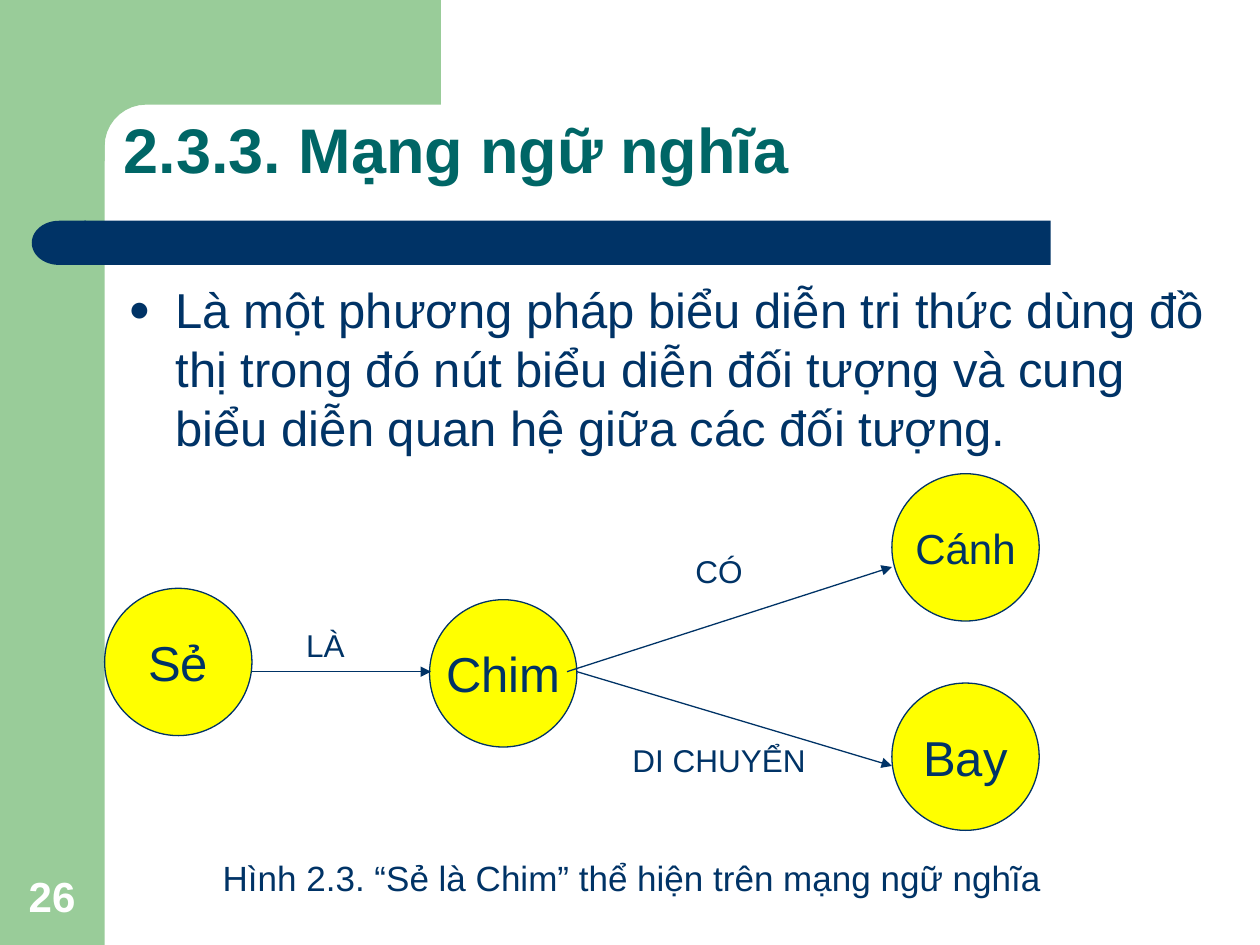
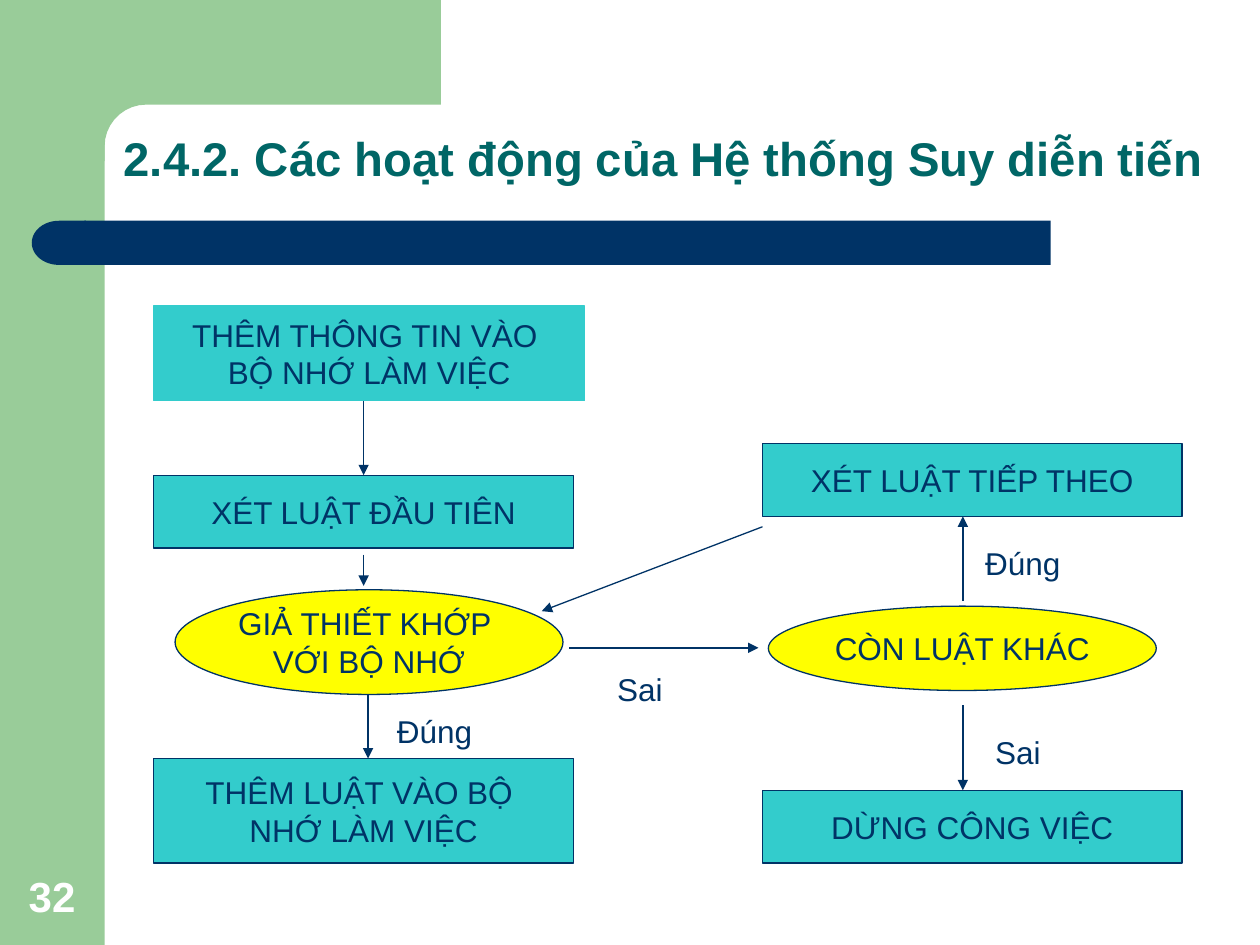
"""Build two lecture slides: a semantic network and a forward-chaining flowchart."""
import math

import pptx
import pptx.dml.color
import pptx.enum.shapes
import pptx.enum.text
import pptx.oxml.ns
import pptx.util
from lxml import etree

Cm = pptx.util.Cm
Pt = pptx.util.Pt
rgb = pptx.dml.color.RGBColor.from_string
qn = pptx.oxml.ns.qn
MSO = pptx.enum.shapes.MSO_SHAPE
ANCHOR = pptx.enum.text.MSO_ANCHOR
ALIGN = pptx.enum.text.PP_ALIGN

GREEN, NAVY, TEAL = "99CC99", "003366", "006666"
CYAN, YELLOW, WHITE = "33CCCC", "FFFF00", "FFFFFF"
FRAME = {"word_wrap": True, "auto_size": pptx.enum.text.MSO_AUTO_SIZE.NONE,
         "vertical_anchor": ANCHOR.TOP}
NODE_FRAME = {"word_wrap": False, "vertical_anchor": ANCHOR.MIDDLE}
BOTTOM = {"vertical_anchor": ANCHOR.BOTTOM}


def write(tf, text, size, color=NAVY, frame={}, para={}, bold=False):
    """Fill a text frame, one paragraph per line of text."""
    for key, value in {**FRAME, **frame}.items():
        setattr(tf, key, value)
    for i, line in enumerate(text.split("\n")):
        p = tf.add_paragraph() if i else tf.paragraphs[0]
        for key, value in {"alignment": ALIGN.LEFT, **para}.items():
            setattr(p, key, value)
        r = p.add_run()
        r.text = line
        for key, value in {"name": "Arial", "size": Pt(size), "bold": bold}.items():
            setattr(r.font, key, value)
        r.font.color.rgb = rgb(color)


def paint(sp, fill, line=None):
    """Give a shape a flat fill and a thin outline or none."""
    sp.shadow.inherit = False
    sp.fill.solid()
    sp.fill.fore_color.rgb = rgb(fill)
    if line:
        sp.line.color.rgb = rgb(line)
        sp.line.width = Pt(0.75)
    else:
        sp.line.fill.background()


D = 2.97
W, H = 8.46, 1.47
LEFT, RIGHT = 3.1, 15.37
slides = [
    {
        "number": "26",
        "title": ("2.3.3. Mạng ngữ nghĩa", 36),
        "nodes": [
            (MSO.OVAL, 2.11, 11.86, D, D, NAVY, 28, "Sẻ"),
            (MSO.OVAL, 8.66, 12.09, D, D, NAVY, 28, "Chim"),
            (MSO.OVAL, 17.98, 9.55, D, D, NAVY, 24, "Cánh"),
            (MSO.OVAL, 17.98, 13.77, D, D, NAVY, 28, "Bay"),
        ],
        "arrows": [
            (5.08, 13.54, 8.69, 13.54),
            (11.43, 13.54, 17.98, 11.43),
            (11.63, 13.54, 17.98, 15.44),
        ],
        "labels": [
            (5.92, 12.5, 1.7, 18, "LÀ"),
            (13.77, 11, 1.7, 18, "CÓ"),
            (12.5, 14.81, 4.01, 18, "DI CHUYỂN"),
            (4.24, 17.15, 17.58, 20, "Hình 2.3. “Sẻ là Chim” thể hiện trên mạng ngữ nghĩa"),
        ],
    },
    {
        "number": "32",
        "title": ("2.4.2. Các hoạt động của Hệ thống Suy diễn tiến", 27),
        "nodes": [
            (MSO.RECTANGLE, LEFT, 6.17, 8.69, 1.91, CYAN, 18, "THÊM THÔNG TIN VÀO \nBỘ NHỚ LÀM VIỆC"),
            (MSO.RECTANGLE, LEFT, 9.58, W, H, NAVY, 18, "XÉT LUẬT ĐẦU TIÊN"),
            (MSO.RECTANGLE, LEFT, 15.29, W, 2.11, NAVY, 18, "THÊM LUẬT VÀO BỘ \nNHỚ LÀM VIỆC"),
            (MSO.RECTANGLE, RIGHT, 15.93, W, H, NAVY, 18, "DỪNG CÔNG VIỆC"),
            (MSO.RECTANGLE, RIGHT, 8.94, W, H, NAVY, 18, "XÉT LUẬT TIẾP THEO"),
            (MSO.OVAL, 3.53, 11.89, 7.82, 2.11, NAVY, 18, "GIẢ THIẾT KHỚP \nVỚI BỘ NHỚ"),
            (MSO.OVAL, 15.49, 12.22, 7.82, 1.7, NAVY, 18, "CÒN LUẬT KHÁC"),
        ],
        "arrows": [
            (7.33, 8.08, 7.33, 9.58),
            (7.33, 11.18, 7.33, 11.81),
            (7.42, 14.02, 7.42, 15.29),
            (19.41, 14.22, 19.41, 15.93),
            (19.41, 12.12, 19.41, 10.41),
            (11.48, 13.06, 15.29, 13.06),
            (15.37, 10.62, 10.92, 12.32),
        ],
        "labels": [
            (7.75, 14.22, 2.34, 18, "Đúng"),
            (19.61, 10.85, 2.34, 18, "Đúng"),
            (12.19, 13.39, 1.9, 18, "Sai"),
            (19.81, 14.66, 1.9, 18, "Sai"),
        ],
    },
]

prs = pptx.Presentation()
prs.slide_width, prs.slide_height = Cm(25.4), Cm(19.05)

radius, center = 0.84, 2.95
corner = [(center - radius * math.sin(math.radians(a)), center - radius * math.cos(math.radians(a)))
          for a in range(0, 91, 10)]
outline = [(8.89, 0), (8.89, 2.11), *corner, (2.11, 3.25), (1.27, 3.25)]

for page in slides:
    s = prs.slides.add_slide(prs.slide_layouts[5])

    for kind, x, y, w, h, color, turn in [
        (MSO.RECTANGLE, 0, 0, 2.11, 19.05, GREEN, 0),
        (MSO.RECTANGLE, 1.7, 4.45, 19.48, 0.89, NAVY, 0),
        (MSO.FLOWCHART_DELAY, 0.64, 4.45, 1.09, 0.89, NAVY, 180),
    ]:
        sp = s.shapes.add_shape(kind, Cm(x), Cm(y), Cm(w), Cm(h))
        sp.rotation = turn
        paint(sp, color)
    builder = s.shapes.build_freeform(Cm(1.27), 0)
    builder.add_line_segments([(Cm(x), Cm(y)) for x, y in outline])
    paint(builder.convert_to_shape(), GREEN)

    sp = s.shapes.add_textbox(Cm(0.33), Cm(17.33), Cm(1.63), Cm(1.35))
    write(sp.text_frame, page["number"], 24, WHITE, BOTTOM, bold=True)

    text, size = page["title"]
    sp = s.shapes.title
    sp.left, sp.top, sp.width, sp.height = Cm(2.24), Cm(2.22), Cm(22.9), Cm(1.68)
    write(sp.text_frame, text, size, TEAL, BOTTOM, {"line_spacing": 0.9}, True)

    nodes = []
    for kind, x, y, w, h, line, size, text in page["nodes"]:
        sp = s.shapes.add_shape(kind, Cm(x), Cm(y), Cm(w), Cm(h))
        paint(sp, YELLOW if kind == MSO.OVAL else CYAN, line)
        write(sp.text_frame, text, size, NAVY, NODE_FRAME, {"alignment": ALIGN.CENTER})
        nodes.append(sp)

    arrows = []
    for ends in page["arrows"]:
        c = s.shapes.add_connector(pptx.enum.shapes.MSO_CONNECTOR.STRAIGHT, *map(Cm, ends))
        c.line.color.rgb = rgb(NAVY)
        c.line.width = Pt(0.75)
        etree.SubElement(c.line._get_or_add_ln(), qn("a:tailEnd"), type="triangle")
        etree.SubElement(c._element.spPr, qn("a:effectLst"))
        arrows.append(c)

    for x, y, w, size, text in page["labels"]:
        sp = s.shapes.add_textbox(Cm(x), Cm(y), Cm(w), Cm(1.02))
        write(sp.text_frame, text, size)

arrows[0].end_connect(nodes[1], 0)

s = prs.slides[0]
sp = s.shapes.add_textbox(Cm(2.34), Cm(5.51), Cm(22.23), Cm(4.45))
tf = sp.text_frame
pPr = tf.paragraphs[0]._p.get_or_add_pPr()
pPr.set("marL", str(Cm(0.95)))
pPr.set("indent", str(Cm(-0.95)))
bullet_color = etree.SubElement(pPr, qn("a:buClr"))
etree.SubElement(bullet_color, qn("a:srgbClr"), val=NAVY)
etree.SubElement(pPr, qn("a:buSzPct"), val="75000")
etree.SubElement(pPr, qn("a:buFont"), typeface="Arial")
etree.SubElement(pPr, qn("a:buChar"), char="●")
write(tf, "Là một phương pháp biểu diễn tri thức dùng đồ thị trong đó nút biểu diễn "
          "đối tượng và cung biểu diễn quan hệ giữa các đối tượng.", 28)

prs.save("out.pptx")
